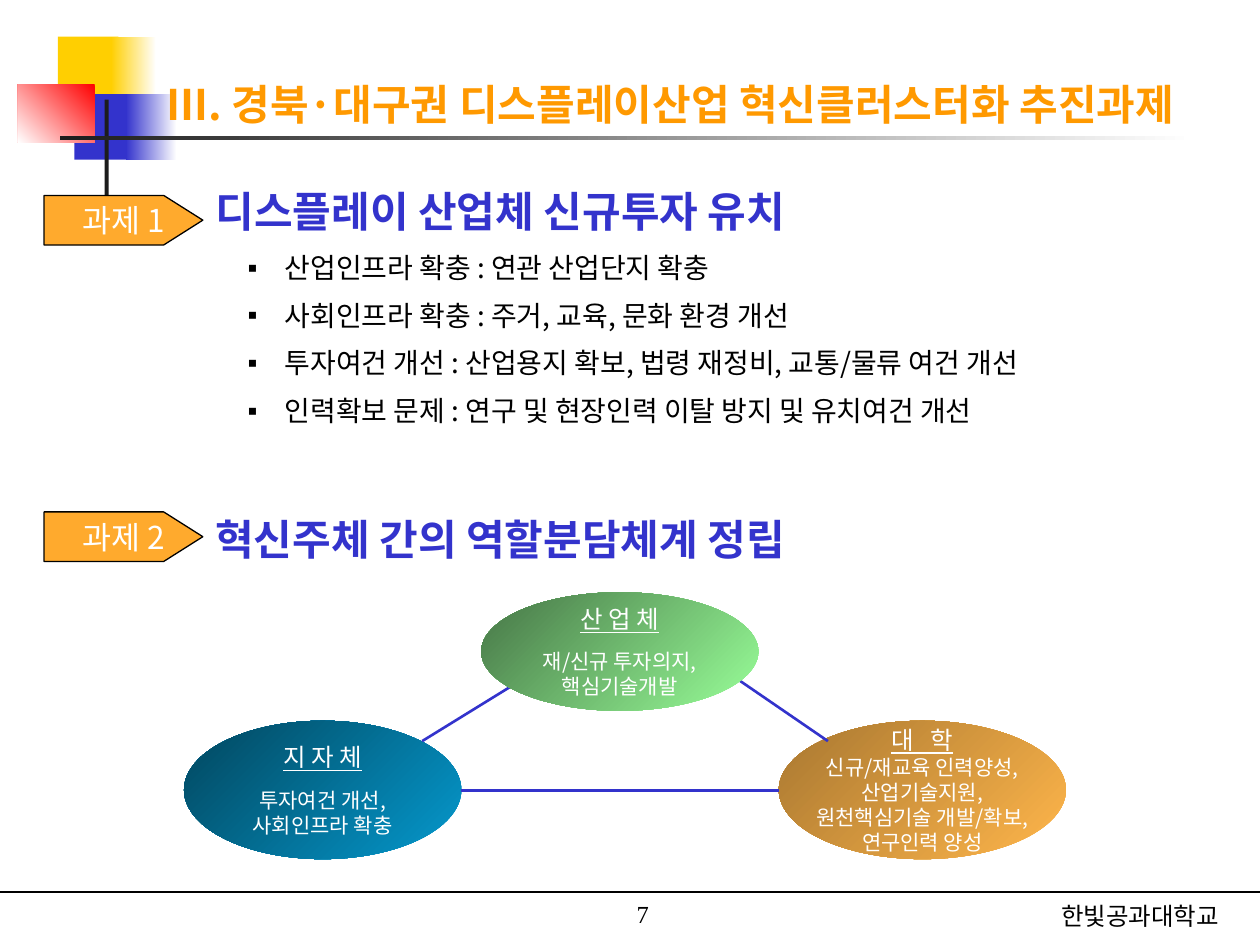
import pptx
import pptx.util
import pptx.dml.color
import pptx.enum.shapes
import pptx.enum.text
import pptx.oxml.ns
from lxml import etree

Cm, Pt = pptx.util.Cm, pptx.util.Pt
RGB = pptx.dml.color.RGBColor
SHAPE = pptx.enum.shapes.MSO_SHAPE
LINK = pptx.enum.shapes.MSO_CONNECTOR
ALIGN = pptx.enum.text.PP_ALIGN
ANCHOR = pptx.enum.text.MSO_ANCHOR
qn = pptx.oxml.ns.qn

FONT = "Noto Sans CJK KR"
WHITE, BLACK = RGB(255, 255, 255), RGB(0, 0, 0)
GOLD, RED = RGB(0xFF, 0xCF, 0x01), RGB(0xFF, 0, 0)
BLUE, INK = RGB(0x33, 0x33, 0xCC), RGB(0x1C, 0x1C, 0x1C)
AMBER, TAG = RGB(0xFF, 0x99, 0), RGB(0xFF, 0xAA, 0x2D)
SEA, NAVY = RGB(0x05, 0x99, 0xCD), RGB(0x02, 0x46, 0x5E)
SAND, BROWN = RGB(0xFF, 0xB6, 0x4B), RGB(0xA9, 0x78, 0x31)
LIME, MOSS = RGB(0x99, 0xFF, 0x99), RGB(0x46, 0x75, 0x46)

HEAD = {"size": Pt(24), "bold": True}


def write(para, text, color, font=FONT, **form):
    """Add a run with its font, also for East Asian letters."""
    run = para.add_run()
    run.text = text
    for key, value in {"name": font, **form}.items():
        setattr(run.font, key, value)
    run.font.color.rgb = color
    etree.SubElement(run.font._element, qn("a:ea"), typeface=font)


def paint(shape, first, last=None, angle=0):
    """Fill with one colour or a two-colour gradient, without a line."""
    shape.shadow.inherit = False
    shape.line.fill.background()
    if last is None:
        shape.fill.solid()
        shape.fill.fore_color.rgb = first
        return
    shape.fill.gradient()
    shape.fill.gradient_angle = angle
    for stop, color in zip(shape.fill.gradient_stops, (first, last)):
        stop.color.rgb = color


deck = pptx.Presentation()
deck.slide_width, deck.slide_height = Cm(25.4), Cm(19.05)
slide = deck.slides.add_slide(deck.slide_layouts[1])
shapes = slide.shapes
title, body = shapes.title, slide.placeholders[1]

# Corner blocks and cross bars
for box, fill in (
    ((1.17, 0.74, 1.22, 1.32), (GOLD,)),
    ((2.24, 0.74, 0.91, 1.32), (WHITE, GOLD, 180)),
    ((1.5, 1.9, 1.17, 1.32), (BLUE,)),
    ((2.54, 1.9, 1.02, 1.32), (WHITE, BLUE, 180)),
    ((0.36, 1.7, 1.55, 1.17), (RED, WHITE, 225)),
    ((2.11, 2.01, 0.08, 2.92), (INK,)),
    ((1.22, 2.74, 22.86, 0.08), (WHITE, INK, 180)),
):
    paint(shapes.add_shape(SHAPE.RECTANGLE, *map(Cm, box)), *fill)

# Title and list, in front of the blocks
for holder, box in ((title, (3.1, 1.45, 22.89, 1.27)),
                    (body, (4.09, 3.73, 20.4, 5.03))):
    for key, value in zip(("left", "top", "width", "height"), box):
        setattr(holder, key, Cm(value))
    holder.text_frame.auto_size = pptx.enum.text.MSO_AUTO_SIZE.NONE
    holder.text_frame.vertical_anchor = ANCHOR.TOP
    shapes._spTree.append(holder._element)

para = title.text_frame.paragraphs[0]
para.alignment = ALIGN.LEFT
write(para, "Ⅲ. 경북·대구권 디스플레이산업 혁신클러스터화 추진과제", AMBER, **HEAD)

para = body.text_frame.paragraphs[0]
para.line_spacing, para.space_before = 0.9, Pt(0)
write(para, "디스플레이 산업체 신규투자 유치", BLUE, **HEAD)
prop = para._p.get_or_add_pPr()
prop.set("marL", "0")
prop.set("indent", "0")
etree.SubElement(prop, qn("a:buNone"))

for text in (
    "산업인프라 확충 : 연관 산업단지 확충",
    "사회인프라 확충 : 주거, 교육, 문화 환경 개선",
    "투자여건 개선 : 산업용지 확보, 법령 재정비, 교통/물류 여건 개선",
    "인력확보 문제 : 연구 및 현장인력 이탈 방지 및 유치여건 개선",
):
    para = body.text_frame.add_paragraph()
    para.level, para.line_spacing, para.space_before = 1, 0.9, Pt(10)
    write(para, text, BLACK, size=Pt(16))
    prop = para._p.get_or_add_pPr()
    prop.set("marL", str(Cm(1.4)))
    prop.set("indent", str(-Cm(0.75)))
    etree.SubElement(prop, qn("a:buChar"), char="▪")

# Second heading
head = shapes.add_textbox(Cm(4.09), Cm(10.13), Cm(18.39), Cm(1.37))
head.text_frame.word_wrap = True
para = head.text_frame.paragraphs[0]
para.line_spacing = 1.1
write(para, "혁신주체 간의 역할분담체계 정립", BLUE, **HEAD)

# Task tags
for text, top in (("과제 1", 3.94), ("과제 2", 10.32)):
    path = shapes.build_freeform(Cm(0.89), Cm(top))
    path.add_line_segments([(Cm(x), Cm(top + y)) for x, y in
                            ((3.3, 0), (4.09, 0.5), (3.3, 1), (0.89, 1))])
    tag = path.convert_to_shape()
    paint(tag, TAG)
    tag.line.color.rgb, tag.line.width = BLACK, Pt(0.75)
    tag.text_frame.word_wrap = False
    tag.text_frame.vertical_anchor = ANCHOR.MIDDLE
    para = tag.text_frame.paragraphs[0]
    para.alignment = ALIGN.CENTER
    write(para, text, WHITE, size=Pt(18))

# Partner ovals: box, colours, gap under the name, name, roles
for box, fill, gap, name, roles in (
    ((3.71, 14.53, 5.59, 2.79), (SEA, NAVY), 8.7, "지 자 체",
     ("투자여건 개선,", "사회인프라 확충")),
    ((15.7, 14.53, 5.79, 2.79), (SAND, BROWN), 0, "대   학",
     ("신규/재교육 인력양성,", "산업기술지원,",
      "원천핵심기술 개발/확보,", "연구인력 양성")),
    ((9.7, 11.94, 5.59, 2.39), (LIME, MOSS), 8.7, "산 업 체",
     ("재/신규 투자의지,", "핵심기술개발")),
):
    oval = shapes.add_shape(SHAPE.OVAL, *map(Cm, box))
    paint(oval, *fill, 135)
    frame = oval.text_frame
    frame.word_wrap, frame.vertical_anchor = False, ANCHOR.MIDDLE
    para = frame.paragraphs[0]
    para.alignment, para.space_after = ALIGN.CENTER, Pt(gap)
    write(para, name, WHITE, size=Pt(14), underline=True)
    for role in roles:
        para = frame.add_paragraph()
        para.alignment = ALIGN.CENTER
        write(para, role, WHITE, size=Pt(12))

# Links between the partners, and the footer rule
for ends, color, width in (
    ((8.51, 14.94, 10.49, 13.72), BLUE, 1.5),
    ((14.91, 13.72, 16.69, 14.94), BLUE, 1.5),
    ((9.3, 15.93, 15.7, 15.93), BLUE, 1.5),
    ((0, 17.98, 25.4, 17.98), BLACK, 0.75),
):
    link = shapes.add_connector(LINK.STRAIGHT, *map(Cm, ends))
    link.line.color.rgb, link.line.width = color, Pt(width)
    etree.SubElement(link._element.spPr, qn("a:effectLst"))
shapes._spTree.append(oval._element)  # the top oval covers the link ends

# Footer: school and page number
school = shapes.add_textbox(Cm(21.39), Cm(18.11), Cm(3.81), Cm(0.71))
for side in ("left", "top", "right", "bottom"):
    setattr(school.text_frame, "margin_" + side, 0)
para = school.text_frame.paragraphs[0]
para.line_spacing = 1.1
write(para, "한빛공과대학교", BLACK, size=Pt(14))

page = shapes.add_textbox(Cm(8.05), Cm(17.58), Cm(5.28), Cm(1.27))
page.text_frame.word_wrap = True
page.text_frame.vertical_anchor = ANCHOR.BOTTOM
para = page.text_frame.paragraphs[0]
para.alignment = ALIGN.RIGHT
write(para, "7", BLACK, "Times New Roman", size=Pt(14))

deck.save("out.pptx")
